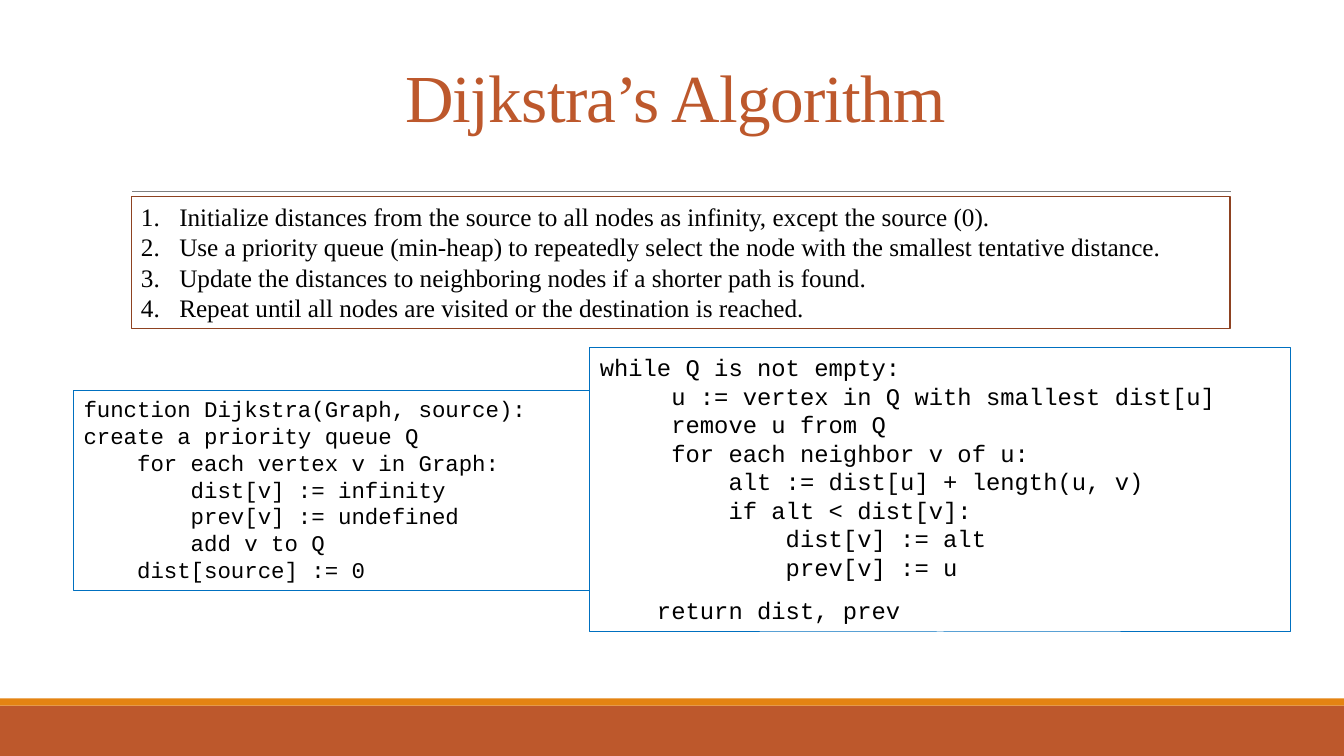
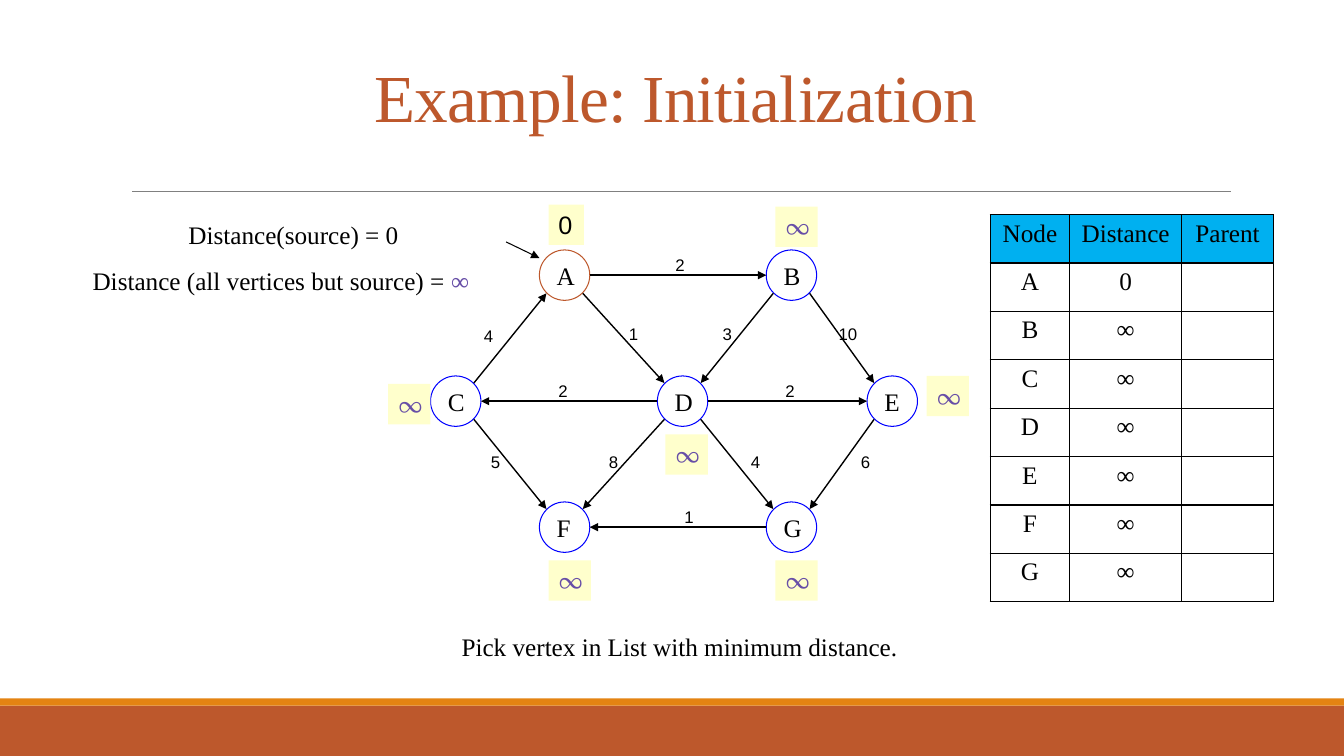
"""Build two slides on Dijkstra's algorithm: the method and its initialization."""
import lxml.etree
import pptx
import pptx.dml.color
import pptx.enum.shapes
import pptx.enum.text
import pptx.oxml
import pptx.oxml.ns
import pptx.util

Inches = pptx.util.Inches
Pt = pptx.util.Pt
qn = pptx.oxml.ns.qn
color = pptx.dml.color.RGBColor.from_string
SHAPE = pptx.enum.shapes.MSO_SHAPE
ALIGN = pptx.enum.text.PP_ALIGN
ANCHOR = pptx.enum.text.MSO_ANCHOR
GROW = pptx.enum.text.MSO_AUTO_SIZE.SHAPE_TO_FIT_TEXT

BLACK, RUST, ORANGE, PURPLE = "000000", "BD582C", "E48312", "674EA7"
SERIF = {"name": "Times New Roman", "size": Pt(18)}
TITLE = {"name": "Times New Roman", "size": Pt(48)}
WEIGHT = {"name": "Arial", "size": Pt(12)}
SOURCE_BADGE = {"name": "Arial", "size": Pt(18)}
INFINITY_BADGE = {"name": "Vollkorn", "size": Pt(18)}
GROWING = {"word_wrap": True, "auto_size": GROW, "vertical_anchor": ANCHOR.TOP}
LABEL = {"word_wrap": False, "auto_size": GROW, "vertical_anchor": ANCHOR.TOP}
CENTERED_LABEL = {**LABEL, "vertical_anchor": ANCHOR.MIDDLE}
NODE = {"word_wrap": False, "vertical_anchor": ANCHOR.MIDDLE}


def place(slide, kind, at, lines=(), font=SERIF, frame=GROWING, fill=None,
          line=None, ink=BLACK, align=ALIGN.LEFT):
    """Add a preset shape, or a text box when kind is None, with its text."""
    box = [Inches(length) for length in at]
    if kind is None:
        shape = slide.shapes.add_textbox(*box)
    else:
        shape = slide.shapes.add_shape(kind, *box)
        shape.shadow.inherit = False
        if fill:
            shape.fill.solid()
            shape.fill.fore_color.rgb = color(fill)
        else:
            shape.fill.background()
        if line:
            shape.line.color.rgb = color(line)
            shape.line.width = Pt(0.75)
        else:
            shape.line.fill.background()
    text = shape.text_frame
    for name, value in frame.items():
        setattr(text, name, value)
    for index, words in enumerate(lines):
        paragraph = text.add_paragraph() if index else text.paragraphs[0]
        paragraph.alignment = align
        run = paragraph.add_run()
        run.text = words
        for name, value in font.items():
            setattr(run.font, name, value)
        run.font.color.rgb = color(ink)
    return shape


def draw_line(slide, begin, end, ink=BLACK, width=1, arrow=True):
    """Add a straight line, with an arrowhead at its end if wanted."""
    line = slide.shapes.add_connector(
        pptx.enum.shapes.MSO_CONNECTOR.STRAIGHT,
        *[Inches(length) for length in (*begin, *end)])
    line.line.color.rgb = color(ink)
    line.line.width = Pt(width)
    properties = line.element.spPr
    if arrow:
        lxml.etree.SubElement(properties.find(qn("a:ln")), qn("a:tailEnd"), type="triangle")
    lxml.etree.SubElement(properties, qn("a:effectLst"))
    return line


deck = pptx.Presentation()
deck.slide_width, deck.slide_height = Inches(13.33), Inches(7.5)
layout = deck.slide_layouts[5]
method, example = [deck.slides.add_slide(layout) for _ in range(2)]

shared = [
    place(method, SHAPE.RECTANGLE, (0, 7, 13.33, 0.5), fill=RUST, frame={}),
    place(method, SHAPE.RECTANGLE, (0, 6.93, 13.33, 0.07), fill=ORANGE, frame={}),
    draw_line(method, (1.31, 1.9), (12.21, 1.9), "808080", 0.5, arrow=False),
]
for part in shared:
    layout.shapes.element.append(part.element)

title_place = {"left": Inches(1.2), "top": Inches(0.5), "width": Inches(11), "height": Inches(0.9)}
for slide, heading in ((method, "Dijkstra’s Algorithm"), (example, "Example: Initialization")):
    title = slide.shapes.title
    for name, value in title_place.items():
        setattr(title, name, value)
    title.text_frame.vertical_anchor = ANCHOR.BOTTOM
    paragraph = title.text_frame.paragraphs[0]
    paragraph.alignment = ALIGN.CENTER
    paragraph.line_spacing = 0.85
    run = paragraph.add_run()
    run.text = heading
    for name, value in TITLE.items():
        setattr(run.font, name, value)
    run.font.color.rgb = color(RUST)
    run.font._element.set("spc", "-50")

steps = place(method, SHAPE.RECTANGLE, (1.3, 1.95, 10.9, 1.31), [
    "Initialize distances from the source to all nodes as infinity, except the source (0).",
    "Use a priority queue (min-heap) to repeatedly select the node with the smallest tentative distance.",
    "Update the distances to neighboring nodes if a shorter path is found.",
    "Repeat until all nodes are visited or the destination is reached.",
], line="8E4221", align=ALIGN.JUSTIFY)
for paragraph in steps.text_frame.paragraphs:
    properties = paragraph._p.get_or_add_pPr()
    properties.set("marL", str(Inches(0.38)))
    properties.set("indent", str(-Inches(0.38)))
    lxml.etree.SubElement(properties, qn("a:buAutoNum"), type="arabicPeriod")

setup_code = """function Dijkstra(Graph, source):
create a priority queue Q
    for each vertex v in Graph:
        dist[v] := infinity
        prev[v] := undefined
        add v to Q
    dist[source] := 0"""
search_code = """while Q is not empty:
     u := vertex in Q with smallest dist[u]
     remove u from Q
     for each neighbor v of u:
         alt := dist[u] + length(u, v)
         if alt < dist[v]:
             dist[v] := alt
             prev[v] := u
    return dist, prev"""
for code, at, size in ((setup_code, (0.73, 3.87, 5.12, 1.99), 16),
                       (search_code, (5.85, 3.45, 6.95, 2.82), 17)):
    listing = place(method, SHAPE.RECTANGLE, at, code.split("\n"),
                    {"name": "Courier New", "size": Pt(size)}, line="0070C0")
listing.text_frame.paragraphs[-1].line_spacing = 1.5

radius = 0.25
diagonal = 0.18
centers = {"A": (5.6, 2.73), "B": (7.85, 2.73), "C": (4.52, 3.98), "D": (6.77, 3.98),
           "E": (8.85, 3.98), "F": (5.6, 5.23), "G": (7.85, 5.23)}
edges = [
    ("A", "B", "2", 6.6, 2.48), ("A", "D", "1", 6.14, 3.16), ("B", "D", "3", 7.07, 3.16),
    ("B", "E", "10", 8.22, 3.16), ("C", "A", "4", 4.7, 3.18), ("C", "F", "5", 4.77, 4.43),
    ("D", "C", "2", 5.44, 3.73), ("D", "E", "2", 7.69, 3.73), ("D", "F", "8", 5.94, 4.43),
    ("D", "G", "4", 7.35, 4.43), ("E", "G", "6", 8.44, 4.43), ("G", "F", "1", 6.69, 4.98),
]
for node, (x, y) in centers.items():
    is_source = node == "A"
    place(example, SHAPE.OVAL, (x - radius, y - radius, 2 * radius, 2 * radius), [node],
          frame=NODE, fill="FFFFFF" if is_source else None,
          line=RUST if is_source else "0000FF")

for start, finish, weight, left, top in edges:
    (x1, y1), (x2, y2) = centers[start], centers[finish]
    reach = radius if y1 == y2 else diagonal
    dx = reach if x2 > x1 else -reach
    dy = 0 if y1 == y2 else reach if y2 > y1 else -reach
    draw_line(example, (x1 + dx, y1 + dy), (x2 - dx, y2 - dy))
    place(example, None, (left, top, 0.2 + 0.1 * len(weight), 0.3), [weight],
          WEIGHT, CENTERED_LABEL)
draw_line(example, (5.02, 2.4), (5.35, 2.56), width=0.75)

place(example, SHAPE.RECTANGLE, (5.44, 2.03, 0.35, 0.4), ["0"], SOURCE_BADGE, LABEL, "FFFFCC")
for left, top in ((7.69, 2.05), (3.85, 3.81), (9.19, 3.73), (6.6, 4.31), (5.44, 5.56), (7.69, 5.56)):
    place(example, SHAPE.RECTANGLE, (left, top, 0.42, 0.4), ["∞"],
          INFINITY_BADGE, LABEL, "FFFFCC", ink=PURPLE)

place(example, None, (1.77, 2.13, 2.61, 0.4), ["Distance(source) = 0"])
others = place(example, None, (0.82, 2.58, 4.36, 0.4), ["Distance (all vertices but source) = "])
infinity = others.text_frame.paragraphs[0].add_run()
infinity.text = "∞"
for name, value in SERIF.items():
    setattr(infinity.font, name, value)
infinity.font.color.rgb = color(PURPLE)
place(example, None, (4.48, 6.21, 4.57, 0.4), ["Pick vertex in List with minimum distance."], frame=LABEL)

rows = [("Node", "Distance", "Parent")]
rows += [(node, "0" if node == "A" else "∞", "") for node in centers]
distances = example.shapes.add_table(
    len(rows), 3, Inches(9.82), Inches(2.13), Inches(2.81), Inches(0.48 * len(rows))).table
distances.first_row = distances.horz_banding = False
for column, width in zip(distances.columns, (0.79, 1.11, 0.91)):
    column.width = Inches(width)
for row_index, row in enumerate(rows):
    for column_index, words in enumerate(row):
        cell = distances.cell(row_index, column_index)
        properties = cell._tc.get_or_add_tcPr()
        for side in ("a:lnL", "a:lnR", "a:lnT", "a:lnB"):
            border = lxml.etree.SubElement(properties, qn(side), w=str(Pt(1)))
            stroke = lxml.etree.SubElement(border, qn("a:solidFill"))
            lxml.etree.SubElement(stroke, qn("a:srgbClr"), val=BLACK)
        if row_index == 0:
            cell.fill.solid()
            cell.fill.fore_color.rgb = color("00B0F0")
        else:
            cell.fill.background()
        if words:
            paragraph = cell.text_frame.paragraphs[0]
            paragraph.alignment = ALIGN.CENTER
            run = paragraph.add_run()
            run.text = words
            for name, value in SERIF.items():
                setattr(run.font, name, value)
            run.font.color.rgb = color(BLACK)

deck.save("out.pptx")
